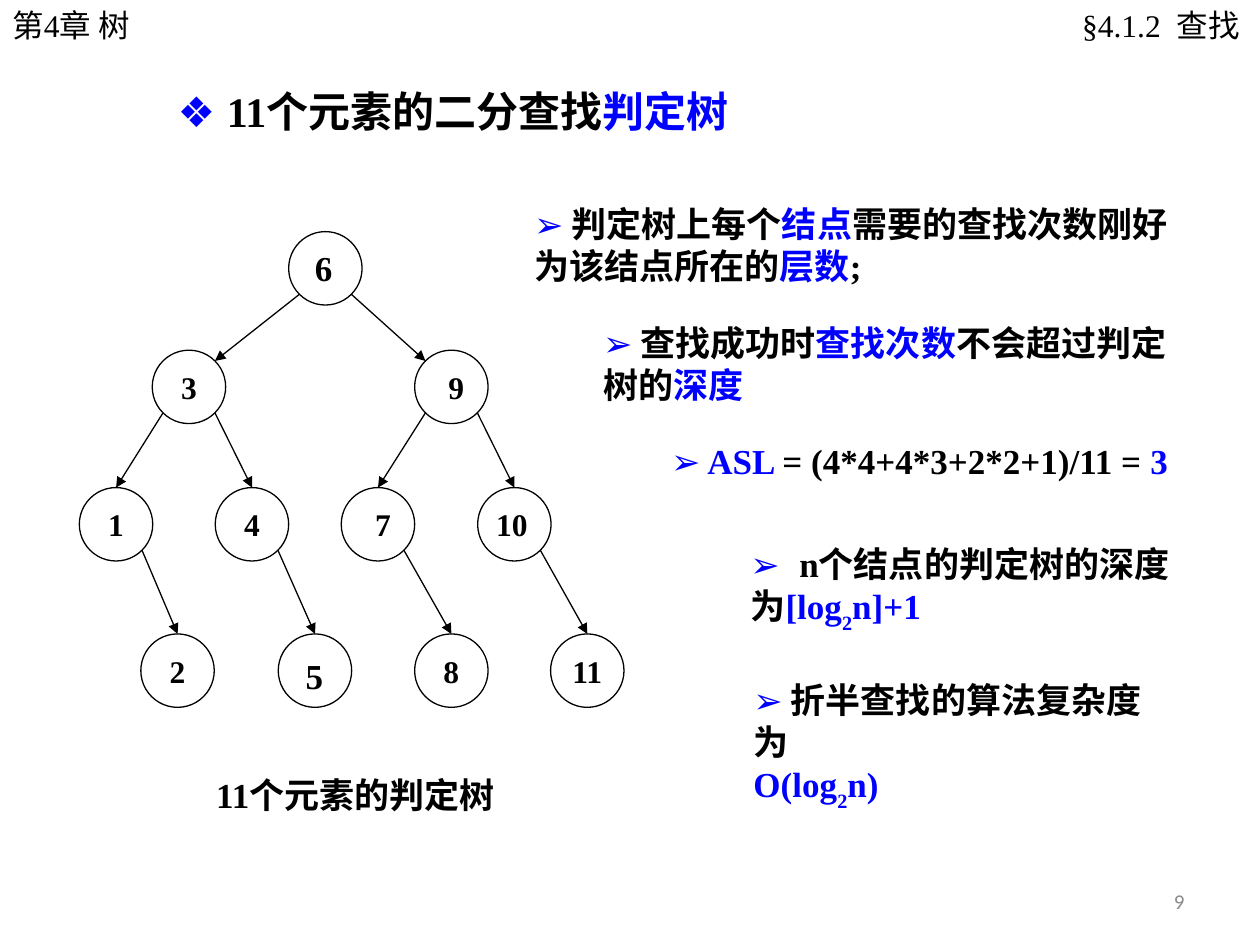
from dataclasses import dataclass

from lxml.etree import SubElement
from pptx import Presentation
from pptx.dml.color import RGBColor
from pptx.enum.shapes import MSO_CONNECTOR as Connector, MSO_SHAPE as Shape
from pptx.enum.text import MSO_ANCHOR as Anchor, PP_ALIGN as Align
from pptx.oxml.ns import qn
from pptx.util import Cm, Pt


@dataclass(frozen=True)
class Theme:
    """Colours, fonts and type sizes of the slide."""
    ink: str = "000000"
    accent: str = "0000FF"
    muted: str = "898989"
    serif: str = "Times New Roman"
    symbol: str = "Arial"
    sans: str = "Calibri"
    title: int = 24
    body: int = 20
    label: int = 18
    small: int = 12
    line: float = 0.75


THEME = Theme()
KEY = {"color": THEME.accent}
SUB = {"color": THEME.accent, "baseline": "-30000"}
MARK = {"color": THEME.accent, "font": THEME.symbol}
ARROW = ("➢ ", MARK)

DIAMETER = 1.48
CORNER = DIAMETER / 2 * 0.707
LEVEL_TOPS = (0, 2.39, 5.16, 8.11)
NODES = {
    "6": (0, 4.22), "3": (1, 1.47), "9": (1, 6.76),
    "1": (2, 0), "4": (2, 2.74), "7": (2, 5.28), "10": (2, 8.03),
    "2": (3, 1.24), "5": (3, 4.01), "8": (3, 6.76), "11": (3, 9.5),
}
EDGES = (
    ("6", "3"), ("6", "9"), ("3", "1"), ("3", "4"), ("9", "7"),
    ("9", "10"), ("1", "2"), ("4", "5"), ("7", "8"), ("10", "11"),
)
LARGE_LABELS = ("6", "5")
NUDGES = {"6": (-0.05, 0), "9": (0.1, 0), "7": (0.1, 0), "10": (-0.05, 0), "5": (-0.03, 0.1)}

NOTES = (
    ((10.52, 3.96, 13.49, 1.96), [[
        ARROW, ("判定树上每个", {}), ("结点", KEY),
        ("需要的查找次数刚好为该结点所在的", {}), ("层数", KEY), (";", {})]]),
    ((11.91, 6.35, 11.91, 1.96), [[
        ARROW, ("查找成功时", {}), ("查找次数", KEY), ("不会超过判定树的", {}), ("深度", KEY)]]),
    ((13.28, 8.74, 10.72, 1.12), [[
        ("➢", MARK), (" ASL ", KEY), ("= (4*4+4*3+2*2+1)/11 = ", {}), ("3", KEY)]]),
    ((14.88, 10.82, 9.83, 2.11), [
        [("➢  ", MARK), ("n个结点的判定树的深度", {})],
        [("为", {}), ("[log", KEY), ("2", SUB), ("n]+1", KEY)]]),
    ((14.94, 13.56, 8.95, 2.11), [
        [ARROW, ("折半查找的算法复杂度为", {})],
        [("O(log", KEY), ("2", SUB), ("n)", KEY)]]),
)


def write(slide, box, paragraphs, *, size=THEME.body, bold=True, color=THEME.ink,
          font=THEME.serif, align=Align.LEFT, anchor=Anchor.TOP, wrap=True, sides=(0.25, 0.25)):
    """Place paragraphs of (text, style) runs in a text box."""
    frame = slide.shapes.add_textbox(*map(Cm, box)).text_frame
    frame.word_wrap = wrap
    frame.vertical_anchor = anchor
    frame.margin_left, frame.margin_right = map(Cm, sides)
    for index, runs in enumerate(paragraphs):
        paragraph = frame.add_paragraph() if index else frame.paragraphs[0]
        paragraph.alignment = align
        for text, style in runs:
            run = paragraph.add_run()
            run.text = text
            run.font.size = Pt(size)
            run.font.bold = bold
            run.font.name = style.get("font", font)
            run.font.color.rgb = RGBColor.from_string(style.get("color", color))
            if "baseline" in style:
                run.font._element.set("baseline", style["baseline"])


def draw_arrow(slide, start, end):
    """Draw a thin line with an arrowhead at its end."""
    arrow = slide.shapes.add_connector(Connector.STRAIGHT, *map(Cm, start + end))
    arrow.line.color.rgb = RGBColor.from_string(THEME.ink)
    arrow.line.width = Pt(THEME.line)
    SubElement(arrow.line._get_or_add_ln(), qn("a:tailEnd"), type="triangle")
    SubElement(arrow._element.spPr, qn("a:effectLst"))


def draw_node(slide, box, value):
    """Draw one tree node and its centred value."""
    left, top, width, height = box
    circle = slide.shapes.add_shape(Shape.OVAL, *map(Cm, box))
    circle.shadow.inherit = False
    circle.fill.background()
    circle.line.color.rgb = RGBColor.from_string(THEME.ink)
    circle.line.width = Pt(THEME.line)
    large = value in LARGE_LABELS
    label_width = 0.49 + 0.33 * len(value)
    label_height = 1.12 if large else 1.02
    dx, dy = NUDGES.get(value, (0, 0))
    label_box = (left + (width - label_width) / 2 + dx,
                 top + (height - label_height) / 2 + dy, label_width, label_height)
    write(slide, label_box, [[(value, {})]], wrap=False, align=Align.CENTER,
          size=THEME.body if large else THEME.label)


def draw_tree(slide, box):
    """Draw the decision tree with its caption below."""
    left, top, width, height = box
    centres = {value: (left + x + DIAMETER / 2, top + LEVEL_TOPS[level] + DIAMETER / 2)
               for value, (level, x) in NODES.items()}
    for parent, child in EDGES:
        (px, py), (cx, cy) = centres[parent], centres[child]
        side = 1 if cx > px else -1
        end = (cx, cy - DIAMETER / 2)
        if NODES[parent][0] == 0:
            end = (cx - side * CORNER, cy - CORNER)
        draw_arrow(slide, (px + side * CORNER, py + CORNER), end)
    for value, (cx, cy) in centres.items():
        draw_node(slide, (cx - DIAMETER / 2, cy - DIAMETER / 2, DIAMETER, DIAMETER), value)
    write(slide, (left + 2.51, top + height - 1.12, 6.32, 1.12),
          [[("11个元素的判定树", {})]], wrap=False)


def draw_header(slide, box):
    """Write the chapter at the left and the section at the right."""
    left, top, width, height = box
    plain = {"size": THEME.label, "bold": False}
    write(slide, (left, top, 5.31, height), [[("第4章 树", {})]], **plain)
    write(slide, (left + width - 5.13, top, 5.13, height), [[("§4.1.2  查找", {})]],
          align=Align.RIGHT, sides=(0.3, 0.41), **plain)


def draw_title(slide, box):
    """Write the slide title."""
    write(slide, box, [[("❖ ", MARK), ("11个元素的二分查找", {}), ("判定树", KEY)]],
          size=THEME.title, wrap=False)


def draw_notes(slide, box):
    """Write the stepped remarks beside the tree."""
    left, top, _, _ = box
    first_left, first_top = NOTES[0][0][:2]
    for (x, y, width, height), paragraphs in NOTES:
        write(slide, (left + x - first_left, top + y - first_top, width, height), paragraphs)


def draw_page_number(slide, box):
    """Write the page number."""
    write(slide, box, [[("9", {})]], size=THEME.small, bold=False, color=THEME.muted,
          font=THEME.sans, align=Align.RIGHT, anchor=Anchor.MIDDLE)


def main():
    """Build and save the slide."""
    deck = Presentation()
    deck.slide_width, deck.slide_height = Cm(25.4), Cm(19.05)
    slide = deck.slides.add_slide(deck.slide_layouts[6])
    draw_page_number(slide, (18.21, 17.65, 5.92, 1.02))
    draw_tree(slide, (1.6, 4.67, 10.98, 11.92))
    draw_header(slide, (0, 0, 25.4, 1.02))
    draw_notes(slide, (10.52, 3.96, 14.19, 11.71))
    draw_title(slide, (3.33, 1.6, 11.86, 1.27))
    deck.save("out.pptx")


if __name__ == "__main__":
    main()
